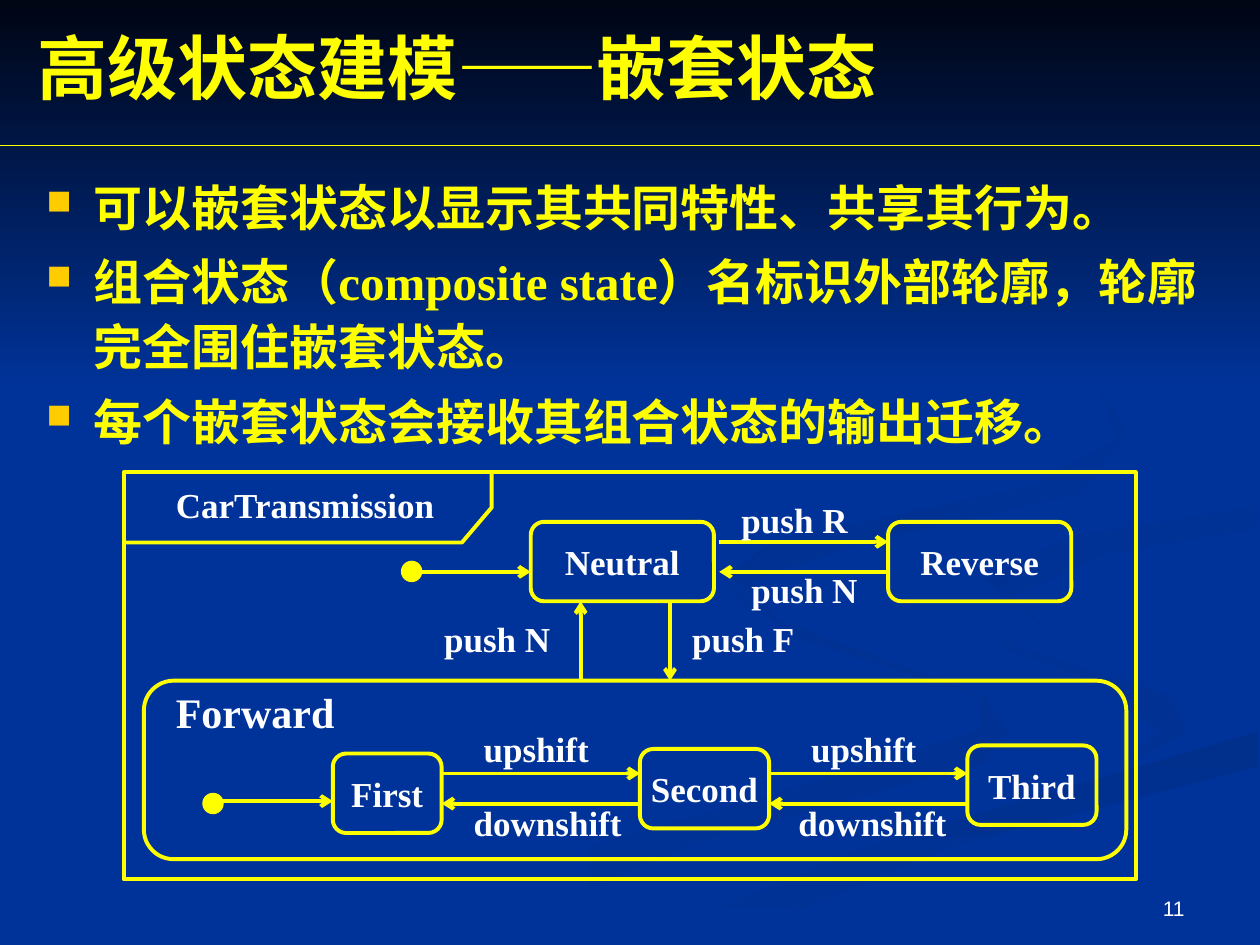
import pptx
import pptx.dml.color
import pptx.enum.shapes
import pptx.enum.text
import pptx.oxml
import pptx.oxml.ns
from pptx.util import Pt

YELLOW, WHITE, BLUE = "FFFF00", "FFFFFF", "003399"
SERIF, SANS = "Times New Roman", "Arial"
LINE = 2.25
rgb = pptx.dml.color.RGBColor.from_string
Shape = pptx.enum.shapes.MSO_SHAPE
Anchor = pptx.enum.text.MSO_ANCHOR
Align = pptx.enum.text.PP_ALIGN


def write(frame, text, size=20, font=SERIF, color=WHITE, bold=True,
          align=Align.LEFT, anchor=Anchor.TOP, wrap=True, bullet=None):
    """Fill a text frame; text is a string or a list of paragraphs of (words, font) spans."""
    frame.word_wrap = wrap
    frame.vertical_anchor = anchor
    paragraphs = [[(text, font)]] if isinstance(text, str) else text
    for index, spans in enumerate(paragraphs):
        para = frame.paragraphs[0] if index == 0 else frame.add_paragraph()
        para.alignment = align
        if bullet:
            properties = para._p.get_or_add_pPr()
            properties.set("marL", str(Pt(27)))
            properties.set("indent", str(Pt(-27)))
            for element in (f'<a:buClr {ns}><a:srgbClr val="{bullet}"/></a:buClr>',
                            f'<a:buSzPct {ns} val="70000"/>',
                            f'<a:buChar {ns} char="■"/>'):
                properties.append(pptx.oxml.parse_xml(element))
            para.line_spacing = 1.1
            if index:
                para.space_before = Pt(5.6)
        for words, name in spans:
            span = para.add_run()
            span.text = words
            span.font.name = name
            span.font.size = Pt(size)
            span.font.bold = bold
            span.font.color.rgb = rgb(color)


def style(shape, fill=None, line=None, gradient=None):
    """Set the fill and the line width; gradient is (first, last, clockwise angle)."""
    shape.shadow.inherit = False
    if gradient:
        first, last, angle = gradient
        shape.fill.gradient()
        shape.fill.gradient_angle = -angle % 360
        for stop, color in zip(shape.fill.gradient_stops, (first, last)):
            stop.color.rgb = rgb(color)
    elif fill:
        shape.fill.solid()
        shape.fill.fore_color.rgb = rgb(fill)
    else:
        shape.fill.background()
    if line:
        shape.line.color.rgb = rgb(YELLOW)
        shape.line.width = Pt(line)
    else:
        shape.line.fill.background()


ns = pptx.oxml.ns.nsdecls("a")
deck = pptx.Presentation()
deck.slide_width, deck.slide_height = Pt(720), Pt(540)
page = deck.slides.add_slide(deck.slide_layouts[6])
page.background.fill.solid()
page.background.fill.fore_color.rgb = rgb(BLUE)

# Background ribbons, then the dark band at the top
ribbons = [
    ((BLUE, "003193", 0), [
        (414, 331), (454, 364), (559, 398), (560, 417), (444, 453), (330, 485), (216, 539),
        (260, 539), (406, 479), (562, 436), (576, 418), (562, 398), (423, 346)]),
    ((BLUE, "003193", 45), [
        (521, 334), (544, 361), (625, 389), (661, 418), (644, 436), (677, 418), (670, 398),
        (584, 370)]),
    (("002F8C", BLUE, 90), [
        (362, 539), (411, 539), (541, 484), (719, 438), (719, 418), (501, 482)]),
    (("003091", BLUE, 45), [
        (563, 331), (595, 357), (580, 340), (632, 316), (719, 302), (719, 289), (611, 307)]),
    (("002F8E", BLUE, 45), [
        (549, 168), (626, 215), (638, 251), (589, 278), (443, 309), (416, 328), (448, 360),
        (429, 332), (492, 310), (616, 282), (644, 248), (622, 210)]),
]
for gradient, outline in ribbons:
    builder = page.shapes.build_freeform(*outline[0], scale=Pt(1))
    builder.add_line_segments(outline[1:], close=True)
    style(builder.convert_to_shape(), gradient=gradient)
band = page.shapes.add_shape(Shape.RECTANGLE, 0, 0, Pt(720), Pt(222))
style(band, gradient=("000514", BLUE, 90))

# Page number, body and title
number = page.shapes.add_textbox(Pt(516), Pt(492), Pt(168), Pt(37.4))
write(number.text_frame, "11", size=12, font=SANS, bold=False,
      align=Align.RIGHT, anchor=Anchor.BOTTOM)
body = page.shapes.add_textbox(Pt(19.5), Pt(94.5), Pt(674.6), Pt(209.5))
points = ["可以嵌套状态以显示其共同特性、共享其行为。",
          "组合状态（composite state）名标识外部轮廓，轮廓完全围住嵌套状态。",
          "每个嵌套状态会接收其组合状态的输出迁移。"]
write(body.text_frame, [[(point, SERIF)] for point in points],
      size=28, color=YELLOW, bullet="FFCC00")
title = page.shapes.add_textbox(Pt(14.4), Pt(10), Pt(648), Pt(55.5))
write(title.text_frame, [[("高级状态建模", SERIF), ("——", SANS), ("嵌套状态", SERIF)]],
      size=40, color=YELLOW, anchor=Anchor.MIDDLE)

# Diagram frame with its name tab
frame_left, frame_top, tab_bottom = 70.6, 270, 309.6
frame = page.shapes.add_shape(Shape.RECTANGLE, Pt(frame_left), Pt(frame_top),
                              Pt(578.4), Pt(232.5))
style(frame, line=LINE)
builder = page.shapes.build_freeform(280.6, frame_top, scale=Pt(1))
builder.add_line_segments([(280.6, 289.6), (264.4, tab_bottom), (frame_left, tab_bottom)],
                          close=False)
style(builder.convert_to_shape(), line=LINE)

# States: name, left, top, width
state_height, forward_top, neutral_top = 45.4, 389, 298.2
neutral_bottom = neutral_top + state_height
forward = page.shapes.add_shape(Shape.ROUNDED_RECTANGLE, Pt(82.2), Pt(forward_top),
                                Pt(561.4), Pt(102))
style(forward, line=LINE)
states = [("Neutral", 303.3, neutral_top, 104.7), ("Reverse", 507.5, neutral_top, 104.7),
          ("First", 190.2, 430.6, 62.2), ("Second", 365.7, 428, 73.8),
          ("Third", 552.8, 426, 73.8)]
for name, left, top, width in states:
    state = page.shapes.add_shape(Shape.ROUNDED_RECTANGLE, Pt(left), Pt(top),
                                  Pt(width), Pt(state_height))
    style(state, line=LINE)
    write(state.text_frame, name, align=Align.CENTER, anchor=Anchor.MIDDLE, wrap=False)

# Transitions: pairs there and back, entries from a start dot, then vertical ones
rule = (0, 83, 720, 83)
lines = [rule]
for left, right, upper in [(411, 507.5, 309.6), (252.4, 365.7, 442), (439.5, 552.8, 442)]:
    lower = upper + 17.2
    lines += [(left, upper, right, upper), (right, lower, left, lower)]
dot_size = 11.5
for left, top, end, height in [(116, 453.4, 190.2, 457.8), (229.5, 320.8, 303.3, 326.8)]:
    dot = page.shapes.add_shape(Shape.OVAL, Pt(left), Pt(top), Pt(dot_size), Pt(dot_size))
    style(dot, fill=YELLOW, line=0.75)
    lines.append((left + dot_size, height, end, height))
lines += [(331.8, forward_top, 331.8, neutral_bottom),
          (382.9, neutral_bottom, 382.9, forward_top)]
for ends in lines:
    arrow = page.shapes.add_connector(pptx.enum.shapes.MSO_CONNECTOR.STRAIGHT, *map(Pt, ends))
    arrow.line.color.rgb = rgb(YELLOW)
    arrow.line.width = Pt(0.75 if ends == rule else LINE)
    if ends != rule:
        arrow.line._get_or_add_ln().append(
            pptx.oxml.parse_xml(f'<a:tailEnd {ns} type="arrow"/>'))
    arrow._element.spPr.append(pptx.oxml.parse_xml(f"<a:effectLst {ns}/>"))

# Labels: width and size, then the places that share them
labels = [
    (165, 20, [("CarTransmission", 93.4, 273)]),
    (107, 24, [("Forward", 93.4, forward_top)]),
    (79, 20, [("push R", 416.6, 281.6), ("push N", 422.3, 321.4), ("push N", 246.7, 349.4),
              ("push F", 388.4, 349.4), ("upshift", 269.3, 412), ("upshift", 456.4, 412)]),
    (102, 20, [("downshift", 263.6, 454.4), ("downshift", 449.2, 454.4)]),
]
for width, size, places in labels:
    for text, left, top in places:
        label = page.shapes.add_textbox(Pt(left), Pt(top), Pt(width), Pt(size * 1.5))
        write(label.text_frame, text, size=size)

deck.save("out.pptx")
